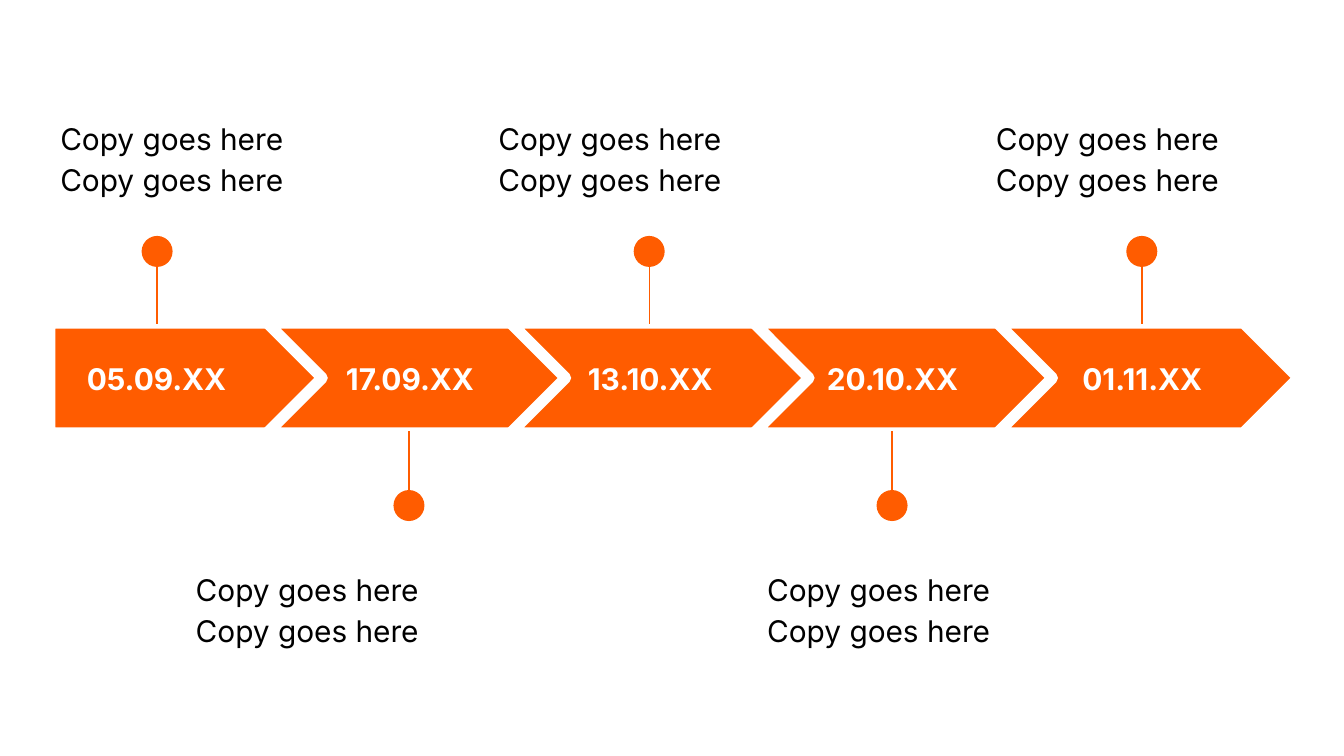
import dataclasses

import pptx
import pptx.dml.color
import pptx.enum.shapes
import pptx.enum.text
import pptx.oxml.ns
import pptx.util
from lxml import etree

Cm = pptx.util.Cm
Pt = pptx.util.Pt
RGB = pptx.dml.color.RGBColor
Kind = pptx.enum.shapes.MSO_SHAPE
Align = pptx.enum.text.PP_ALIGN
Anchor = pptx.enum.text.MSO_ANCHOR


@dataclasses.dataclass(frozen=True)
class Theme:
    main: RGB = RGB(0xFF, 0x5C, 0x00)
    paper: RGB = RGB(0xFF, 0xFF, 0xFF)
    ink: RGB = RGB(0x00, 0x00, 0x00)
    font: str = "Inter"
    size: float = 16
    thin: float = 0.75
    thick: float = 6


def apply(item, values):
    for name, value in values.items():
        setattr(item, name, value)


class Deck:
    """Holds the style and the current slide."""

    def __init__(self, theme, width, height):
        self.theme = theme
        self.file = pptx.Presentation()
        apply(self.file, {"slide_width": Cm(width), "slide_height": Cm(height)})
        self.slide = self.file.slides.add_slide(self.file.slide_layouts[6])

    def shape(self, host, kind, box, edge, weight):
        item = host.add_shape(kind, *map(Cm, box))
        item.shadow.inherit = False
        item.fill.solid()
        item.fill.fore_color.rgb = self.theme.main
        item.line.color.rgb = edge
        item.line.width = Pt(weight)
        return item

    def arrow(self, kind, box):
        item = self.shape(self.slide.shapes, kind, box,
                          self.theme.paper, self.theme.thick)
        item.adjustments[0] = 0.5

    def pin(self, mid, start, end, top, size):
        """Stem and dot, grouped."""
        host = self.slide.shapes.add_group_shape().shapes
        stem = host.add_connector(pptx.enum.shapes.MSO_CONNECTOR.STRAIGHT,
                                  Cm(mid), Cm(start), Cm(mid), Cm(end))
        stem.line.color.rgb = self.theme.main
        stem.line.width = Pt(self.theme.thin)
        props = stem._element.spPr
        etree.SubElement(props, pptx.oxml.ns.qn("a:effectLst"))
        self.shape(host, Kind.OVAL, (mid - size / 2, top, size, size),
                   self.theme.main, self.theme.thin)

    def text(self, words, box, color, bold, anchor, para):
        frame = self.slide.shapes.add_textbox(*map(Cm, box)).text_frame
        sides = ("left", "top", "right", "bottom")
        apply(frame, {f"margin_{side}": Cm(0.25) for side in sides})
        apply(frame, {"word_wrap": True, "vertical_anchor": anchor})
        line = frame.paragraphs[0]
        apply(line, para)
        run = line.add_run()
        run.text = words
        apply(run.font, {"name": self.theme.font, "bold": bold,
                         "size": Pt(self.theme.size)})
        run.font.color.rgb = color

    def date(self, words, box):
        self.text(words, box, self.theme.paper, True, Anchor.MIDDLE,
                  {"alignment": Align.CENTER})

    def note(self, words, box):
        self.text(words, box, self.theme.ink, False, Anchor.TOP,
                  {"alignment": Align.LEFT, "line_spacing": 1.15,
                   "space_after": Pt(16)})


# Date, its left and width, middle of the pin, left of the note
STEPS = [
    ("05.09.XX", 0.94, 4.04, 2.97, 0.89),
    ("17.09.XX", 5.92, 3.66, 7.73, 3.45),
    ("13.10.XX", 10.46, 3.66, 12.27, 9.17),
    ("20.10.XX", 15.04, 3.66, 16.86, 14.25),
    ("01.11.XX", 19.76, 3.66, 21.58, 18.57),
]
# Stem start and end, dot top, note top and height
ABOVE = (4.57, 6.12, 4.47, 1.93, 1.65)
BELOW = (9.7, 8.15, 9.27, 10.44, 2.51)
COPY = "Copy goes here Copy goes here"
TOP, HIGH, PITCH = 6.1, 2.08, 4.6


def main():
    deck = Deck(Theme(), 25.4, 14.28)
    for i, (day, left, width, mid, edge) in enumerate(STEPS):
        # Band
        if i == 0:
            deck.arrow(Kind.PENTAGON, (0.94, TOP, 5.21, HIGH))
        else:
            deck.arrow(Kind.CHEVRON,
                       (5.05 + (i - 1) * PITCH, TOP, 5.69, HIGH))
        deck.date(day, (left, 6.5, width, 1.3))
        # Pin and note, above and below in turn
        start, end, dot, top, high = BELOW if i % 2 else ABOVE
        deck.pin(mid, start, end, dot, 0.56)
        deck.note(COPY, (edge, top, 6.22, high))
    deck.file.save("out.pptx")


if __name__ == "__main__":
    main()
